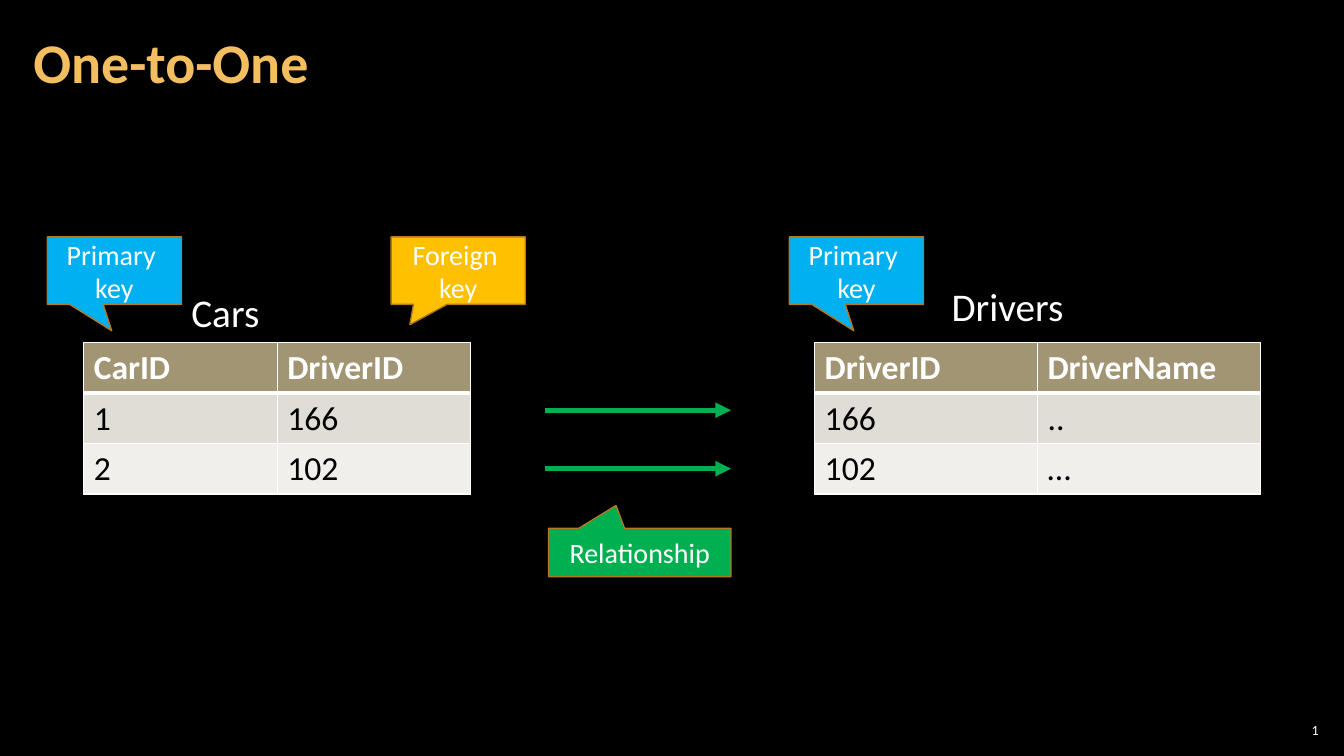
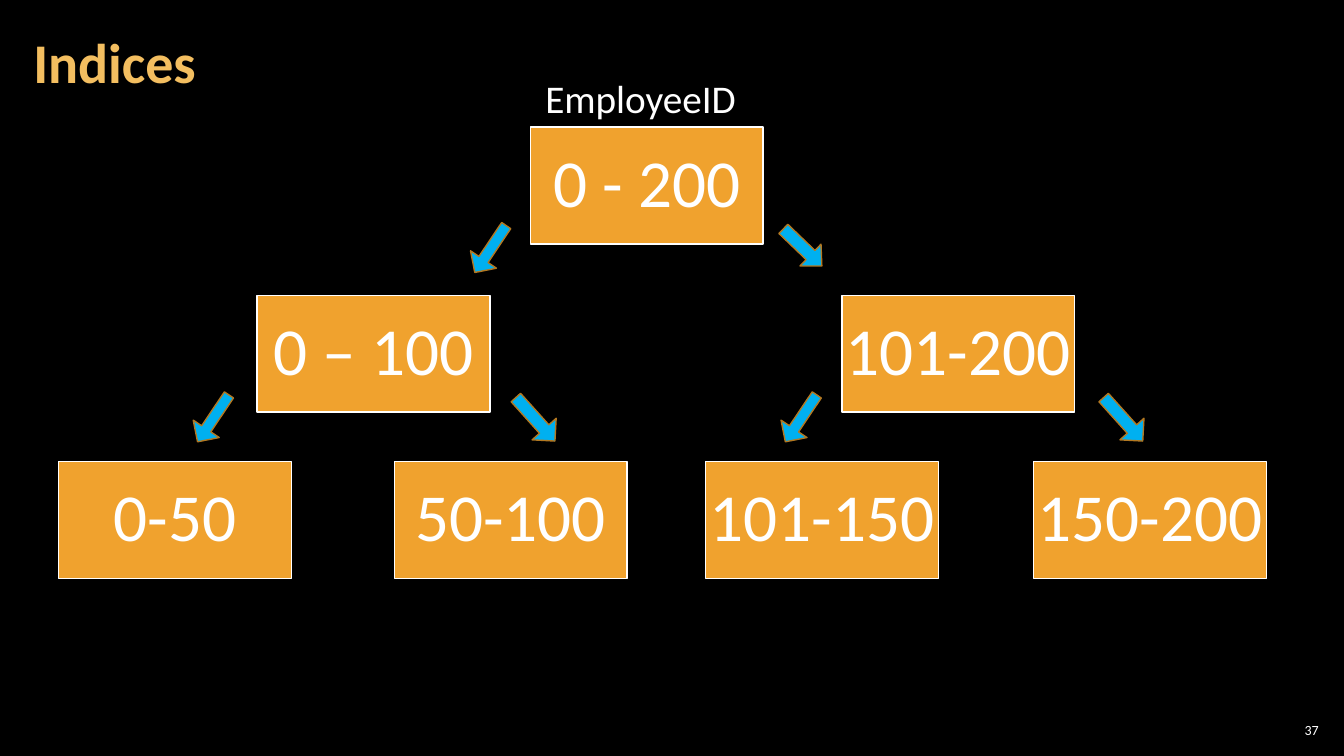
from pptx import Presentation, util as u
from pptx.dml.color import RGBColor
from pptx.enum import shapes, text
from pptx.oxml import parse_xml
from pptx.oxml.ns import nsdecls

FONT = "Calibri"
BLACK, WHITE, GOLD = "000000", "FFFFFF", "F3BE60"
BLUE, AMBER, GREEN, ORANGE = "00B0F0", "FFC000", "00B050", "F0A22E"
EDGE = "B27822"
HEADER, BAND_ODD, BAND_EVEN = "A19574", "E0DDD6", "F0EFEB"
LEFT, CENTER, RIGHT = text.PP_ALIGN.LEFT, text.PP_ALIGN.CENTER, text.PP_ALIGN.RIGHT
MIDDLE = text.MSO_ANCHOR.MIDDLE
SHAPE = shapes.MSO_SHAPE


def rgb(color):
    return RGBColor.from_string(color)


def inches(values):
    return [u.Inches(v) for v in values]


class Deck:
    """The shared style and the current slide."""

    def __init__(self):
        self.prs = Presentation()
        self.prs.slide_width, self.prs.slide_height = inches((13.33, 7.5))
        self.s = None

    def add_text(self, tf, words, size, color=WHITE, bold=False, align=LEFT, spacing=None):
        p = tf.paragraphs[0]
        p.alignment = align
        if spacing:
            p.line_spacing = spacing
        for i, line in enumerate(words.split("\n")):
            if i:
                p.add_line_break()
            r = p.add_run()
            r.text = line
            r.font.name, r.font.size, r.font.bold = FONT, u.Pt(size), bold
            r.font.color.rgb = rgb(color)

    def frame(self, tf, side, edge):
        tf.vertical_anchor = MIDDLE
        tf.margin_left = tf.margin_right = u.Inches(side)
        tf.margin_top = tf.margin_bottom = u.Inches(edge)

    def slide(self, title, number):
        self.s = self.prs.slides.add_slide(self.prs.slide_layouts[5])
        fill = self.s.background.fill
        fill.solid()
        fill.fore_color.rgb = rgb(BLACK)
        # Title
        sp = self.s.shapes.title
        sp.left, sp.top, sp.width, sp.height = inches((0.21, 0.04, 10.47, 1.21))
        self.frame(sp.text_frame, 0.12, 0.04)
        self.add_text(sp.text_frame, title, 40, GOLD, bold=True, spacing=0.9)
        # Slide number
        tf = self.s.shapes.add_textbox(*inches((12.65, 7.14, 0.47, 0.21))).text_frame
        tf.word_wrap = True
        self.frame(tf, 0.04, 0.04)
        self.add_text(tf, number, 10, align=RIGHT)

    def label(self, at, words, wrap=False):
        tf = self.s.shapes.add_textbox(*inches(at)).text_frame
        tf.word_wrap = wrap
        tf.auto_size = text.MSO_AUTO_SIZE.SHAPE_TO_FIT_TEXT
        self.add_text(tf, words, 28)

    def shape(self, kind, at, fill, line=EDGE, adj=(), rotation=0):
        sp = self.s.shapes.add_shape(kind, *inches(at))
        sp.shadow.inherit = False
        sp.fill.solid()
        sp.fill.fore_color.rgb = rgb(fill)
        sp.line.color.rgb = rgb(line)
        sp.line.width = u.Pt(1)
        sp.rotation = rotation
        for i, value in enumerate(adj):
            sp.adjustments[i] = value
        return sp

    def callout(self, at, words, fill, tip):
        sp = self.shape(SHAPE.RECTANGULAR_CALLOUT, at, fill, adj=tip)
        sp.text_frame.vertical_anchor = MIDDLE
        self.add_text(sp.text_frame, words, 20, align=CENTER)

    def node(self, at, words):
        sp = self.shape(SHAPE.RECTANGLE, at, ORANGE, WHITE)
        self.frame(sp.text_frame, 0.03, 0.03)
        self.add_text(sp.text_frame, words, 48, align=CENTER, spacing=0.9)

    def arrow(self, x1, x2, y):
        cx = self.s.shapes.add_connector(
            shapes.MSO_CONNECTOR.STRAIGHT, *inches((x1, y, x2, y)))
        cx.line.color.rgb = rgb(GREEN)
        cx.line.width = u.Pt(3.75)
        sp_pr = cx._element.spPr
        sp_pr.ln.append(parse_xml(f'<a:tailEnd {nsdecls("a")} type="triangle"/>'))
        sp_pr.append(parse_xml(f'<a:effectLst {nsdecls("a")}/>'))

    def border(self, cell, side, width):
        cell._tc.get_or_add_tcPr().append(parse_xml(
            f'<a:ln{side} {nsdecls("a")} w="{u.Pt(width)}"><a:solidFill>'
            f'<a:srgbClr val="{WHITE}"/></a:solidFill></a:ln{side}>'))

    def table(self, left, top, col_width, rows):
        cols, height = len(rows[0]), 0.5
        size = (left, top, col_width * cols, height * len(rows))
        table = self.s.shapes.add_table(len(rows), cols, *inches(size)).table
        for i, row in enumerate(rows):
            fill = HEADER if i == 0 else BAND_ODD if i % 2 else BAND_EVEN
            for j, words in enumerate(row):
                cell = table.cell(i, j)
                # A thick rule parts the header from the body
                widths = {"L": 1, "R": 1, "T": 3 if i == 1 else 1, "B": 3 if i == 0 else 1}
                for side, width in widths.items():
                    self.border(cell, side, width)
                cell.fill.solid()
                cell.fill.fore_color.rgb = rgb(fill)
                self.add_text(cell.text_frame, words, 24, BLACK if i else WHITE, bold=i == 0)


def one_to_one(deck):
    deck.slide("One-to-One", "1")
    # Tables and their names
    deck.table(0.83, 3.4, 1.92, [("CarID", "DriverID"), ("1", "166"), ("2", "102")])
    deck.table(8.08, 3.4, 2.21, [("DriverID", "DriverName"), ("166", ".."), ("102", "…")])
    deck.label((1.8, 2.81, 0.88, 0.57), "Cars")
    deck.label((9.34, 2.75, 1.32, 0.57), "Drivers")
    # Row links
    for y in (4.07, 4.65):
        deck.arrow(5.41, 7.25, y)
    # Callouts
    for x in (0.47, 7.83):
        deck.callout((x, 2.35, 1.33, 0.67), "Primary \nkey", BLUE, (-0.02, 0.89))
    deck.callout((3.88, 2.35, 1.33, 0.67), "Foreign \nkey", AMBER, (-0.36, 0.8))
    deck.callout((5.44, 5.24, 1.81, 0.48), "Relationship", GREEN, (-0.13, -0.97))


def indices(deck):
    deck.slide("Indices", "37")
    deck.label((5.31, 0.69, 2.28, 0.57), "EmployeeID", wrap=True)
    # Tree levels
    levels = [
        (1.26, [(5.26, "0 - 200")]),
        (2.93, [(2.55, "0 – 100"), (8.35, "101-200")]),
        (4.58, [(0.58, "0-50"), (3.91, "50-100"), (7, "101-150"), (10.25, "150-200")]),
    ]
    for y, nodes in levels:
        for x, words in nodes:
            deck.node((x, y, 2.31, 1.16), words)
    # Branch arrows: size, rotation, adjustments, places
    branches = [
        ((0.31, 0.56), 213.8, (0.35, 0.5), [(4.71, 2.19), (1.96, 3.87), (7.79, 3.87)]),
        ((0.32, 0.58), 138.1, (0.39, 0.5), [(5.15, 3.87), (10.98, 3.87)]),
        ((0.3, 0.53), 133.9, (0.42, 0.52), [(7.81, 2.19)]),
    ]
    for size, rotation, adj, places in branches:
        for place in places:
            deck.shape(SHAPE.UP_ARROW, place + size, BLUE, adj=adj, rotation=rotation)


def main():
    deck = Deck()
    one_to_one(deck)
    indices(deck)
    deck.prs.save("out.pptx")


if __name__ == "__main__":
    main()
